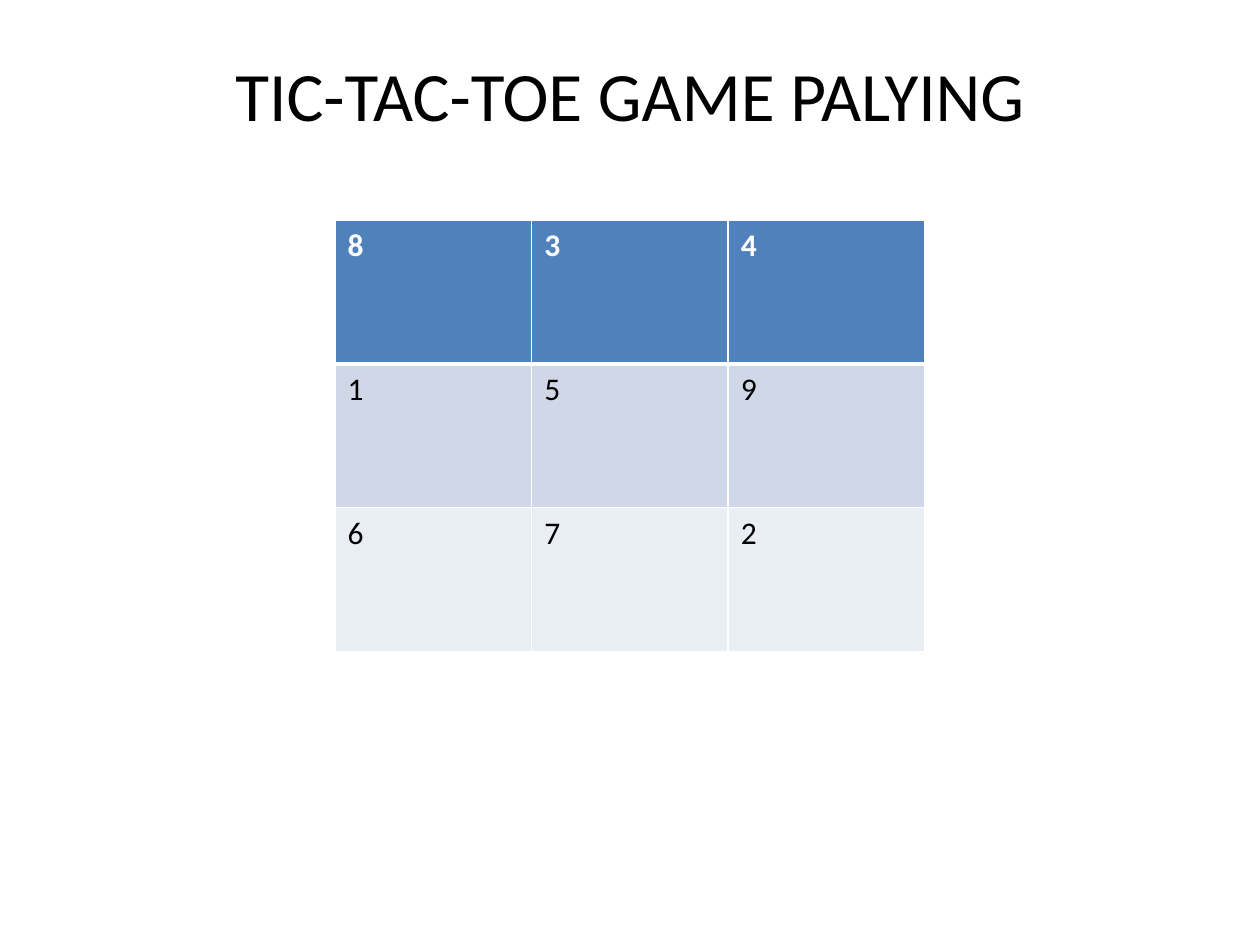
from dataclasses import dataclass

from lxml.etree import SubElement
from pptx import Presentation
from pptx.dml.color import RGBColor as RGB
from pptx.enum.text import MSO_ANCHOR as Anchor, PP_ALIGN as Align
from pptx.oxml.ns import qn
from pptx.util import Inches, Pt


@dataclass(frozen=True)
class Theme:
    font: str = "Calibri"
    title_size: float = 39.6
    cell_size: float = 18
    ink: str = "000000"
    paper: str = "FFFFFF"
    row_fills: tuple = ("4F81BD", "D0D8E8", "E9EDF4")
    grid_line: float = 1
    header_line: float = 3


THEME = Theme()
SLIDE_W, SLIDE_H = Inches(10), Inches(7.5)
BOARD = ("834", "159", "672")
COL_W, ROW_H = Inches(1.56), Inches(1.14)


def write_text(frame, text, size, color=THEME.ink, bold=False,
               align=Align.LEFT, anchor=Anchor.TOP):
    frame.word_wrap = True
    frame.vertical_anchor = anchor
    paragraph = frame.paragraphs[0]
    paragraph.alignment = align
    run = paragraph.add_run()
    run.text = text
    run.font.name = THEME.font
    run.font.size = Pt(size)
    run.font.bold = bold
    run.font.color.rgb = RGB.from_string(color)


def add_title(slide, text):
    title = slide.shapes.title
    title.left, title.top = int(SLIDE_W * 0.05), Inches(0.33)
    title.width, title.height = int(SLIDE_W * 0.9), Inches(0.83)
    write_text(title.text_frame, text, THEME.title_size,
               align=Align.CENTER, anchor=Anchor.MIDDLE)


def set_borders(cell, top, bottom):
    """Draw the cell's four edges; the schema wants them before the fill."""
    properties = cell._tc.get_or_add_tcPr()
    edges = {"lnL": THEME.grid_line, "lnR": THEME.grid_line,
             "lnT": top, "lnB": bottom}
    for position, (edge, width) in enumerate(edges.items()):
        line = SubElement(properties, qn(f"a:{edge}"), w=str(Pt(width)))
        paint = SubElement(line, qn("a:solidFill"))
        SubElement(paint, qn("a:srgbClr"), val=THEME.paper)
        properties.insert(position, line)


def add_board(slide, rows):
    row_count, col_count = len(rows), len(rows[0])
    width, height = COL_W * col_count, ROW_H * row_count
    board = slide.shapes.add_table(row_count, col_count, (SLIDE_W - width) // 2,
                                   Inches(1.75), width, height).table
    for column in board.columns:
        column.width = COL_W
    for r, digits in enumerate(rows):
        board.rows[r].height = ROW_H
        header = r == 0
        for c, digit in enumerate(digits):
            cell = board.cell(r, c)
            cell.fill.solid()
            cell.fill.fore_color.rgb = RGB.from_string(THEME.row_fills[r])
            write_text(cell.text_frame, digit, THEME.cell_size, bold=header,
                       color=THEME.paper if header else THEME.ink)
            set_borders(cell,
                        top=THEME.header_line if r == 1 else THEME.grid_line,
                        bottom=THEME.header_line if header else THEME.grid_line)


def main():
    deck = Presentation()
    deck.slide_width, deck.slide_height = SLIDE_W, SLIDE_H
    slide = deck.slides.add_slide(deck.slide_layouts.get_by_name("Title Only"))
    add_board(slide, BOARD)
    add_title(slide, "TIC-TAC-TOE GAME PALYING")
    deck.save("out.pptx")


if __name__ == "__main__":
    main()
